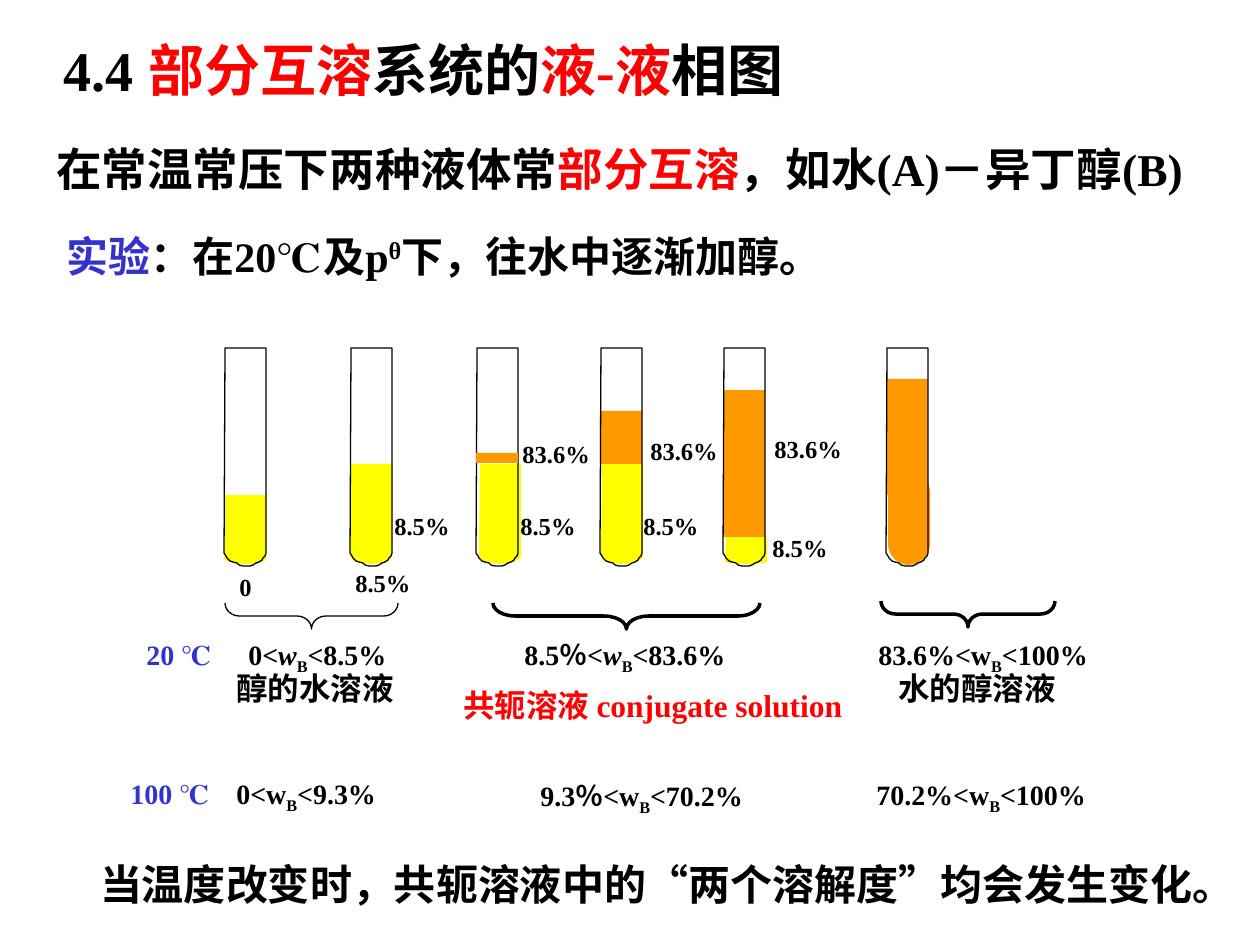
from pptx import Presentation
from pptx.dml.color import RGBColor
from pptx.enum.shapes import MSO_SHAPE as Shape
from pptx.util import Emu, Pt

SCALE = 914400 / 126
FONT = "Times New Roman"
BLACK, RED, BLUE = "000000", "FF0000", "3333CC"
WATER, ALCOHOL = "FFFF00", "FF9900"

STYLES = {
    "plain": {},
    "red": {"color": RED},
    "blue": {"color": BLUE},
    "italic": {"italic": True},
    "sub": {"baseline": -25000},
    "super": {"baseline": 30000},
}

# Left, top, width, point size, spans
HEADINGS = [
    (64, 35, 1002, 32, [("4.4 ", "plain"), ("部分互溶", "red"), ("系统的", "plain"),
                        ("液-液", "red"), ("相图", "plain")]),
    (100, 859, 1176, 24, [("当温度改变时，共轭溶液中的“两个溶解度”均会发生变化。", "plain")]),
]
TEXTS = [
    (44, 135, 1190, 26, [("在常温常压下两种液体常", "plain"), ("部分互溶", "red"),
                         ("，如水(A)－异丁醇(B)", "plain")]),
    (54, 224, 903, 24, [("实验", "blue"), ("：在20℃及p", "plain"), ("θ", "super"),
                        ("下，往水中逐渐加醇。", "plain")]),
    (134, 631, 116, 16, [("20 ℃", "blue")]),
    (118, 770, 116, 16, [("100 ℃", "blue")]),
    (224, 663, 210, 18, [("醇的水溶液", "plain")]),
    (451, 680, 431, 18, [("共轭溶液 conjugate solution", "red")]),
    (886, 663, 210, 18, [("水的醇溶液", "plain")]),
]
# Left, top, width, lower limit, upper limit, style of w
RANGES = [
    (236, 631, 190, "0<", "<8.5%", "italic"),
    (512, 631, 268, "8.5％<", "<83.6%", "italic"),
    (866, 631, 265, "83.6%<", "<100%", "plain"),
    (224, 770, 189, "0<", "<9.3%", "plain"),
    (528, 772, 273, "9.3％<", "<70.2%", "plain"),
    (864, 771, 281, "70.2%<", "<100%", "plain"),
]
CONCENTRATIONS = [
    ("0", 227, 566), ("8.5%", 343, 562),
    ("8.5%", 382, 505), ("8.5%", 508, 505), ("8.5%", 631, 505), ("8.5%", 760, 527),
    ("83.6%", 510, 433), ("83.6%", 638, 430), ("83.6%", 762, 428),
]

TUBE_WIDTH, TUBE_TOP, TUBE_SHOULDER, TUBE_BASE = 42, 348, 553, 566
WATER_BASE = 564
TUBES = [224, 350, 476, 600, 723, 886]
# Left, top, shoulder of the rounded bottom
WATERS = [(224, 495, 559), (350, 464, 557), (479, 464, 557), (601, 464, 557), (725, 537, 562)]
# Left, top, height
ALCOHOLS = [(600, 411, 53), (723, 390, 147), (886, 379, 116)]
THIN_ALCOHOL = (476, 453, 10)
ROUND_ALCOHOL = (888, 471, 94)
# Distance from the left side, share of the drop from shoulder to base
BOTTOM_CURVE = [
    (0, 0), (2, 0.2), (3, 0.4), (6, 0.6), (9, 0.7), (13, 0.8), (15, 0.9), (19, 1), (26, 1),
    (29, 0.9), (32, 0.8), (35, 0.7), (38, 0.5), (39, 0.4), (41, 0.2), (42, 0),
]

BRACE_DEPTH = 26
# Left, top, length, line width
BRACES = [(225, 603, 173, 0.75), (493, 603, 267, 2), (881, 601, 174, 2)]


def px(value):
    return Emu(round(value * SCALE))


def rgb(color):
    return RGBColor.from_string(color)


def paint(shape, fill=None, line_width=None):
    shape.shadow.inherit = False
    if fill:
        shape.fill.solid()
        shape.fill.fore_color.rgb = rgb(fill)
    else:
        shape.fill.background()
    if line_width is None:
        shape.line.fill.background()
    else:
        shape.line.color.rgb = rgb(BLACK)
        shape.line.width = Pt(line_width)


def add_text(page, left, top, width, size, spans, inset=True):
    height = size * 2.1 + 13 * inset
    box = page.shapes.add_textbox(px(left), px(top), px(width), px(height))
    frame = box.text_frame
    frame.word_wrap = True
    if not inset:
        for side in ("left", "top", "right", "bottom"):
            setattr(frame, f"margin_{side}", 0)
    para = frame.paragraphs[0]
    for text, style in spans:
        span = para.add_run()
        span.text = text
        extra = STYLES[style]
        formats = {"name": FONT, "size": Pt(size), "bold": True, "italic": extra.get("italic")}
        for key, value in formats.items():
            setattr(span.font, key, value)
        span.font.color.rgb = rgb(extra.get("color", BLACK))
        if "baseline" in extra:
            span._r.get_or_add_rPr().set("baseline", str(extra["baseline"]))


def add_vessel(page, left, top, shoulder, base, closed):
    """Straight sides down to the shoulder, then a curved bottom."""
    builder = page.shapes.build_freeform(left + TUBE_WIDTH, top, scale=SCALE)
    points = [(left + 1, top)]
    points += [(left + x, shoulder + share * (base - shoulder)) for x, share in BOTTOM_CURVE]
    if not closed:
        points.append((left + TUBE_WIDTH, top))
    builder.add_line_segments(points, close=closed)
    return builder.convert_to_shape()


def add_alcohol(page, left, top, height, kind=Shape.RECTANGLE):
    layer = page.shapes.add_shape(kind, px(left), px(top), px(TUBE_WIDTH), px(height))
    paint(layer, ALCOHOL)
    return layer


def add_brace(page, left, top, length, line_width):
    """A left brace turned so that its point looks down."""
    x = left + (length - BRACE_DEPTH) / 2
    y = top + (BRACE_DEPTH - length) / 2
    brace = page.shapes.add_shape(Shape.LEFT_BRACE, px(x), px(y), px(BRACE_DEPTH), px(length))
    brace.rotation = 270
    brace.adjustments[0] = length / 12 / BRACE_DEPTH
    paint(brace, line_width=line_width)


def main():
    deck = Presentation()
    deck.slide_width, deck.slide_height = px(1260), px(945)
    page = deck.slides.add_slide(deck.slide_layouts[6])

    for left, top, shoulder in WATERS:
        paint(add_vessel(page, left, top, shoulder, WATER_BASE, closed=True), WATER)
    add_alcohol(page, *ROUND_ALCOHOL, Shape.ROUNDED_RECTANGLE).adjustments[0] = 0.5
    for layer in ALCOHOLS:
        add_alcohol(page, *layer)
    for left in TUBES:
        tube = add_vessel(page, left, TUBE_TOP, TUBE_SHOULDER, TUBE_BASE, closed=False)
        paint(tube, line_width=0)
    add_alcohol(page, *THIN_ALCOHOL)
    for brace in BRACES:
        add_brace(page, *brace)

    for heading in HEADINGS:
        add_text(page, *heading, inset=False)
    for text in TEXTS:
        add_text(page, *text)
    for left, top, width, low, high, style in RANGES:
        spans = [(low, "plain"), ("w", style), ("B", "sub"), (high, "plain")]
        add_text(page, left, top, width, 16, spans)
    for label, left, top in CONCENTRATIONS:
        add_text(page, left, top, 115, 14, [(label, "plain")])

    deck.save("out.pptx")


if __name__ == "__main__":
    main()
